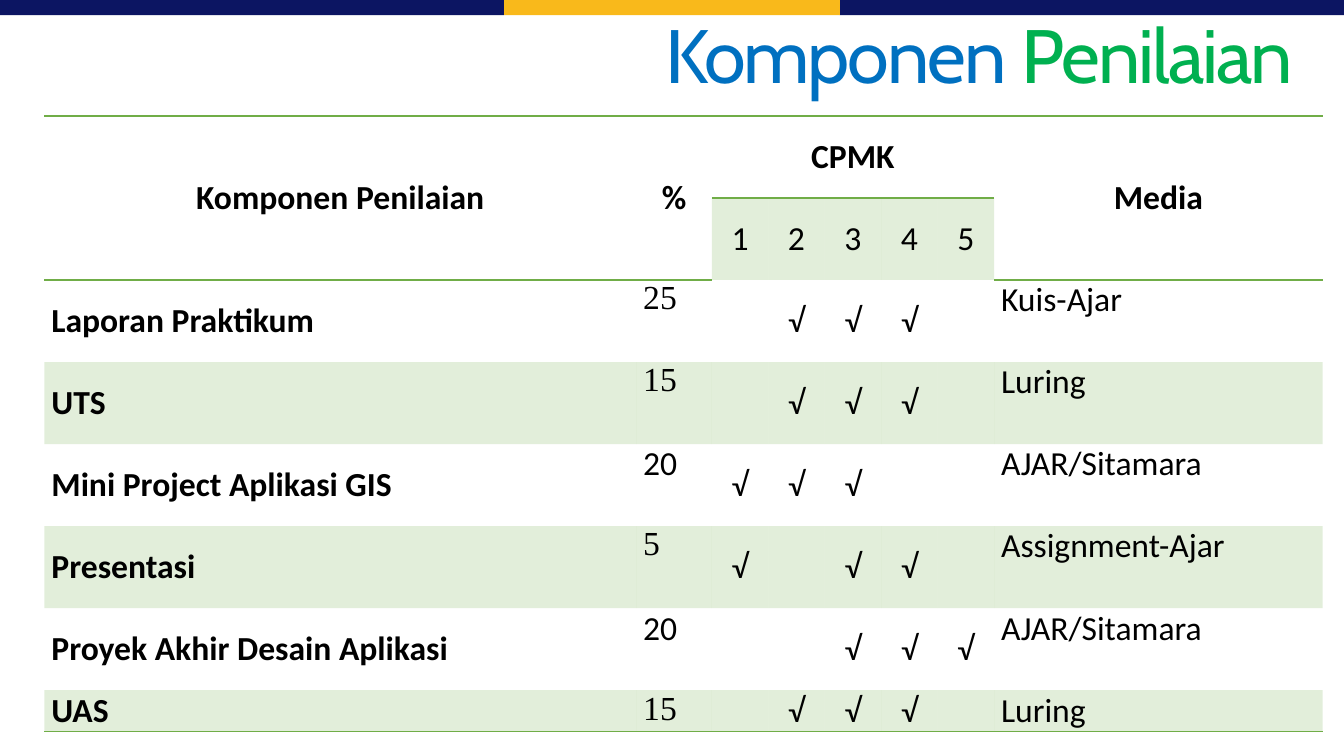
from dataclasses import dataclass

from lxml import etree
from pptx import Presentation
from pptx import util as u
from pptx.dml.color import RGBColor
from pptx.enum import shapes, text
from pptx.oxml.ns import qn

NAVY = RGBColor(0x0C, 0x15, 0x62)
AMBER = RGBColor(0xF9, 0xB9, 0x1B)
BLUE = RGBColor(0x00, 0x70, 0xC0)
GREEN = RGBColor(0x00, 0xB0, 0x50)
LEAF = RGBColor(0x70, 0xAD, 0x47)
BLACK = RGBColor(0x00, 0x00, 0x00)

W, H = u.Inches(13.33), u.Inches(7.5)
BODY, SERIF = "Calibri", "Times New Roman"
CENTER, LEFT = text.PP_ALIGN.CENTER, text.PP_ALIGN.LEFT
MIDDLE, TOP = text.MSO_ANCHOR.MIDDLE, text.MSO_ANCHOR.TOP
PLAIN_TABLE = "{2D5ABB26-0587-4C30-8999-92F81FD0307C}"

# Table grid, in inches
OUTCOMES = range(1, 6)
COLUMNS = [5.87, 0.75] + [0.56] * len(OUTCOMES) + [3.26]
ROWS = [0.814] * 7 + [0.41]
MEDIA_COL = len(COLUMNS) - 1


@dataclass
class Bar:
    left: float  # shares of the slide width
    width: float
    color: RGBColor


@dataclass
class Component:
    name: str
    percent: str
    outcomes: tuple[int, ...]
    media: str
    percent_font: str = SERIF


BARS = [Bar(0, 3 / 8, NAVY), Bar(5 / 8, 3 / 8, NAVY), Bar(3 / 8, 1 / 4, AMBER)]

COMPONENTS = [
    Component("Laporan Praktikum", "25", (2, 3, 4), "Kuis-Ajar"),
    Component("UTS", "15", (2, 3, 4), "Luring"),
    Component("Mini Project Aplikasi GIS", "20", (1, 2, 3), "AJAR/Sitamara", BODY),
    Component("Presentasi", "5", (1, 3, 4), "Assignment-Ajar"),
    Component("Proyek Akhir Desain Aplikasi", "20", (3, 4, 5), "AJAR/Sitamara", BODY),
    Component("UAS", "15", (2, 3, 4), "Luring"),
]


def add_bar(s, bar: Bar) -> None:
    sp = s.shapes.add_shape(shapes.MSO_SHAPE.RECTANGLE, int(W * bar.left), 0,
                            int(W * bar.width), int(H * 0.02))
    sp.shadow.inherit = False
    sp.fill.solid()
    sp.fill.fore_color.rgb = bar.color
    sp.line.fill.background()


def add_run(p, words: str, size: float, font: str, color: RGBColor, bold: bool = False):
    r = p.add_run()
    r.text = words
    r.font.size = u.Pt(size)
    r.font.name = font
    r.font.bold = bold
    r.font.color.rgb = color
    return r


def add_title(s) -> None:
    sp = s.shapes.add_textbox(u.Inches(2.7), u.Inches(0.18), u.Inches(10.12), u.Inches(0.47))
    tf = sp.text_frame
    tf.word_wrap = True
    tf.margin_left = tf.margin_top = tf.margin_right = tf.margin_bottom = 0
    p = tf.paragraphs[0]
    p.alignment = text.PP_ALIGN.RIGHT
    p.line_spacing = 0.9
    for words, color in (("Komponen ", BLUE), ("Penilaian", GREEN)):
        r = add_run(p, words, 54, "Cabin", color)
        r.font._element.set("spc", "-150")


def style_cell(cell, tinted: bool = False, borders: str = "") -> None:
    """Set margins, border sides (T, B) and the optional pale green fill."""
    cell.margin_left = cell.margin_right = u.Inches(0.07)
    cell.margin_top = cell.margin_bottom = 0
    tc_pr = cell._tc.get_or_add_tcPr()
    for side in borders:
        ln = etree.SubElement(tc_pr, qn(f"a:ln{side}"), w=str(u.Pt(1)))
        fill = etree.SubElement(ln, qn("a:solidFill"))
        etree.SubElement(fill, qn("a:srgbClr"), val=str(LEAF))
    if tinted:
        cell.fill.solid()
        cell.fill.fore_color.rgb = LEAF
        color = tc_pr.find(qn("a:solidFill")).find(qn("a:srgbClr"))
        etree.SubElement(color, qn("a:alpha"), val="20000")
    else:
        cell.fill.background()


def write_cell(cell, words: str, align=CENTER, anchor=MIDDLE,
               font: str = BODY, bold: bool = False) -> None:
    cell.vertical_anchor = anchor
    p = cell.text_frame.paragraphs[0]
    p.alignment = align
    add_run(p, words, 24, font, BLACK, bold)


def add_header(table) -> None:
    spans = [("Komponen Penilaian", 0, 1, 0), ("%", 1, 1, 1),
             ("CPMK", 2, 0, MEDIA_COL - 1), ("Media", MEDIA_COL, 1, MEDIA_COL)]
    for words, col, last_row, last_col in spans:
        cell = table.cell(0, col)
        cell.merge(table.cell(last_row, last_col))
        style_cell(cell, borders="TB")
        write_cell(cell, words, bold=True)
    for n in OUTCOMES:
        cell = table.cell(1, n + 1)
        style_cell(cell, tinted=True)
        write_cell(cell, str(n))


def add_component(table, row: int, item: Component) -> None:
    cells = [table.cell(row, col) for col in range(len(COLUMNS))]
    for cell in cells:
        style_cell(cell, tinted=row % 2 == 1, borders="B" if row == len(ROWS) - 1 else "")
    write_cell(cells[0], item.name, LEFT, bold=True)
    write_cell(cells[1], item.percent, LEFT, TOP, item.percent_font)
    for n in item.outcomes:
        write_cell(cells[n + 1], "√")
    write_cell(cells[MEDIA_COL], item.media, LEFT, TOP)


def add_assessment_table(s) -> None:
    frame = s.shapes.add_table(len(ROWS), len(COLUMNS), u.Inches(0.44), u.Inches(1.15),
                               u.Inches(sum(COLUMNS)), u.Inches(sum(ROWS)))
    table = frame.table
    table.first_row = table.horz_banding = False
    table._tbl.tblPr.find(qn("a:tableStyleId")).text = PLAIN_TABLE
    for column, width in zip(table.columns, COLUMNS):
        column.width = u.Inches(width)
    for row, height in zip(table.rows, ROWS):
        row.height = u.Inches(height)
    add_header(table)
    for row, item in enumerate(COMPONENTS, start=2):
        add_component(table, row, item)


def main() -> None:
    prs = Presentation()
    prs.slide_width, prs.slide_height = W, H
    s = prs.slides.add_slide(prs.slide_layouts[6])
    # Top stripe
    for bar in BARS:
        add_bar(s, bar)
    # Title and table
    add_title(s)
    add_assessment_table(s)
    prs.save("out.pptx")


if __name__ == "__main__":
    main()
